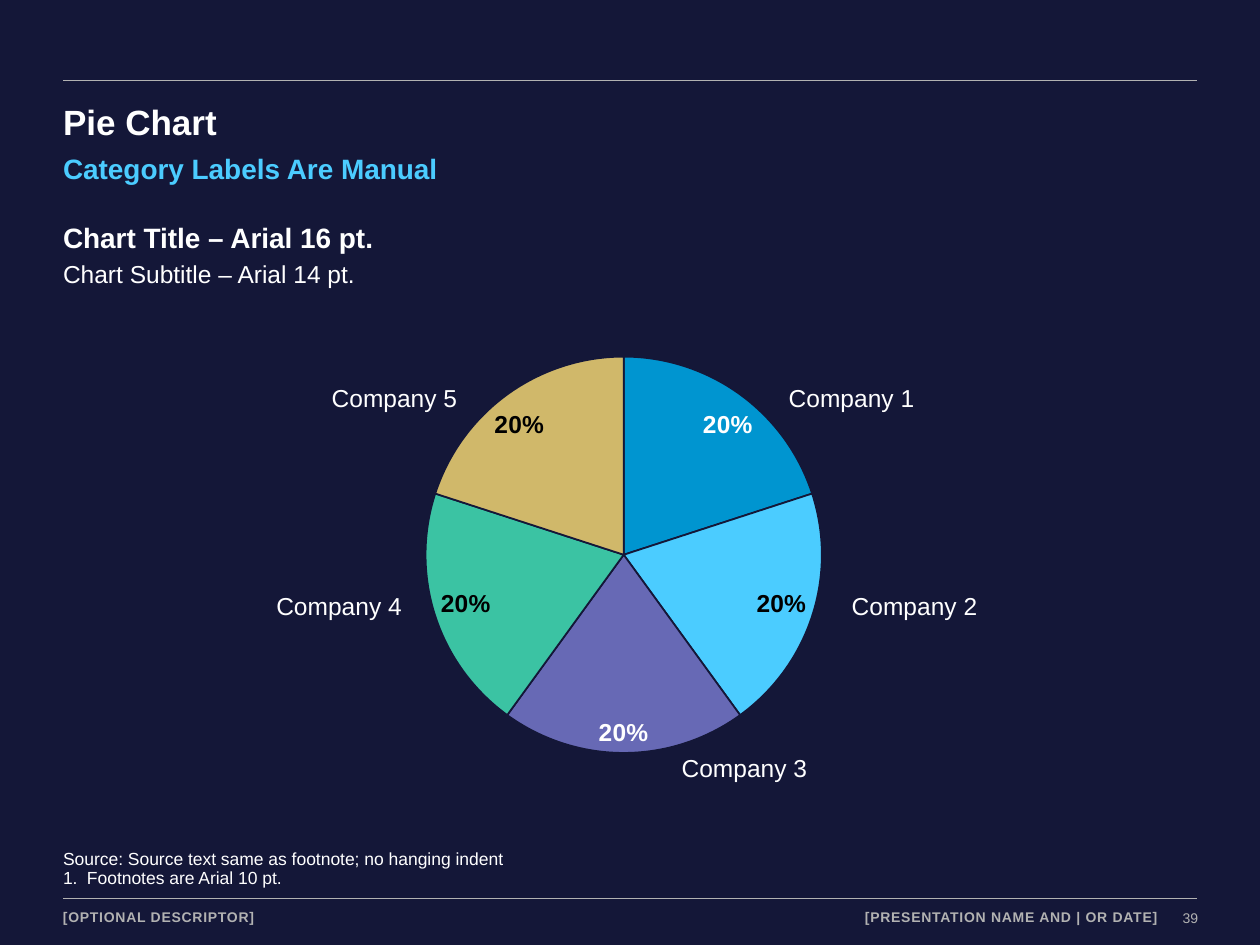
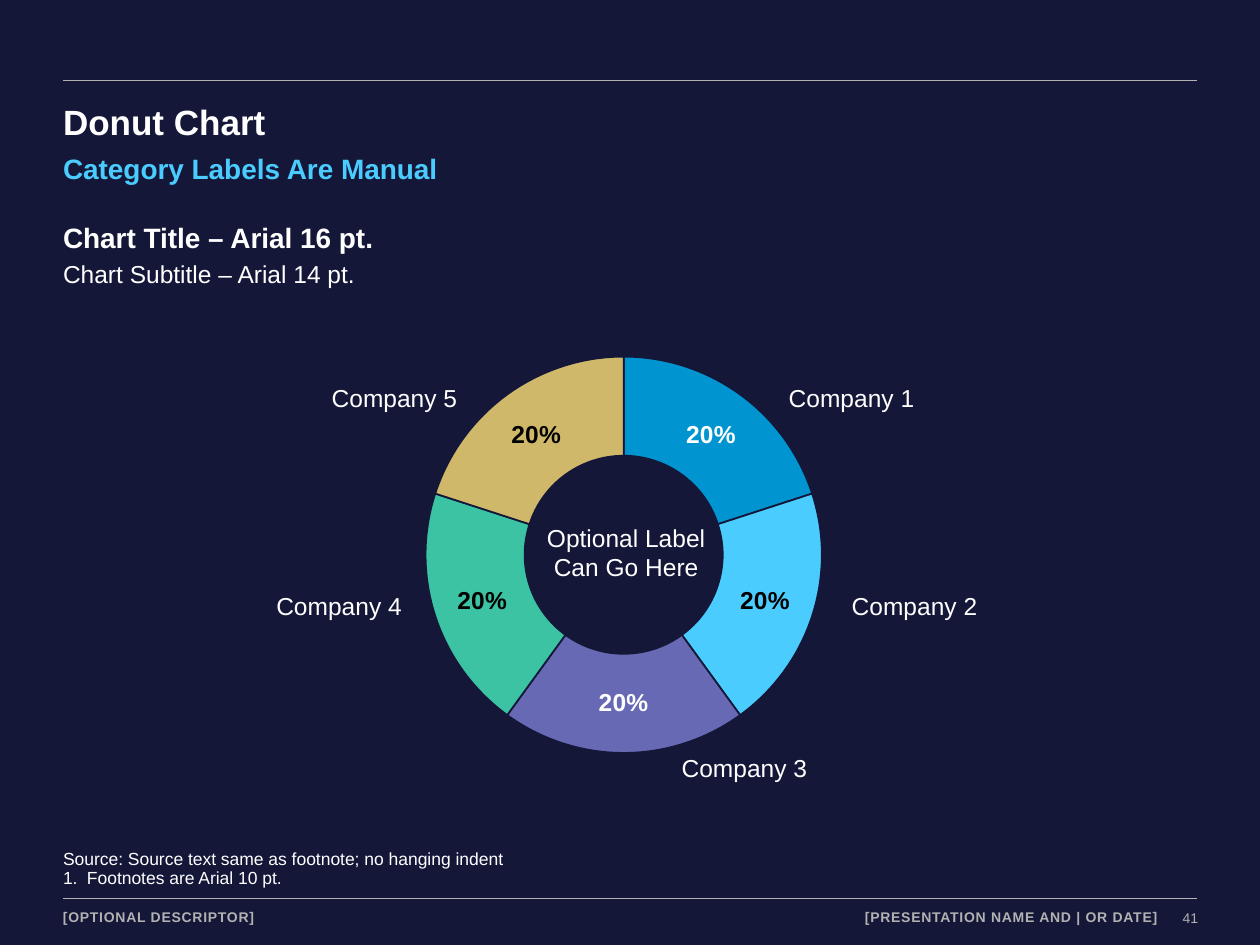
from dataclasses import dataclass

from lxml.etree import SubElement
from pptx import Presentation
from pptx.chart.chart import Chart
from pptx.chart.data import CategoryChartData
from pptx.dml.color import RGBColor
from pptx.enum.chart import XL_CHART_TYPE, XL_LABEL_POSITION
from pptx.enum.text import MSO_ANCHOR, MSO_AUTO_SIZE, PP_ALIGN
from pptx.oxml.ns import qn
from pptx.slide import Slide
from pptx.text.text import TextFrame, _Paragraph
from pptx.util import Inches, Pt

COLORS = {
    "background": "141738",
    "text": "FFFFFF",
    "accent": "4BCCFF",
    "muted": "B2B2B2",
    "dark_label": "000000",
}
FONT = "Arial"
MARGIN = 0.5
CONTENT_WIDTH = 8.99


@dataclass(frozen=True)
class TextStyle:
    size: float
    color: str = "text"
    bold: bool = False
    align: PP_ALIGN = PP_ALIGN.LEFT
    line_spacing: float = 1.0
    tracking: int = 0  # hundredths of a point
    wrap: bool = True


@dataclass(frozen=True)
class TextItem:
    text: str
    left: float
    top: float
    width: float
    height: float
    style: TextStyle


@dataclass(frozen=True)
class Slice:
    category: str
    value: int
    fill: str
    dark_label: bool = False


@dataclass(frozen=True)
class ChartPage:
    title: str
    number: str
    chart_type: XL_CHART_TYPE
    center_label: str = ""


# Text styles
TITLE = TextStyle(20, bold=True)
SUBTITLE = TextStyle(16, "accent", bold=True)
CHART_TITLE = TextStyle(16, bold=True, line_spacing=1.2)
CHART_SUBTITLE = TextStyle(14, line_spacing=1.2)
LABEL = TextStyle(14, wrap=False)
LABEL_RIGHT = TextStyle(14, align=PP_ALIGN.RIGHT, wrap=False)
CENTER_LABEL = TextStyle(14, align=PP_ALIGN.CENTER)
FOOTNOTE = TextStyle(10, line_spacing=0.9)
FOOTER = TextStyle(8, "muted", bold=True, tracking=40)
FOOTER_RIGHT = TextStyle(8, "muted", bold=True, align=PP_ALIGN.RIGHT, tracking=40)
PAGE_NUMBER = TextStyle(8, "muted", align=PP_ALIGN.RIGHT, wrap=False)

# Content shared by both pages
RULE_TOPS = (0.64, 7.13)
SHARED_TEXT = (
    TextItem("[OPTIONAL DESCRIPTOR]", MARGIN, 7.21, 3.1, 0.15, FOOTER),
    TextItem("[PRESENTATION NAME AND | OR DATE]", 5.19, 7.21, 4, 0.15, FOOTER_RIGHT),
    TextItem("Category Labels Are Manual", MARGIN, 1.2, CONTENT_WIDTH, 0.27, SUBTITLE),
    TextItem("Chart Title – Arial 16 pt.", MARGIN, 1.7, 7.05, 0.35, CHART_TITLE),
    TextItem("Chart Subtitle – Arial 14 pt.", MARGIN, 2.01, 7.05, 0.31, CHART_SUBTITLE),
    TextItem("Company 1", 6.26, 3.04, 1, 0.24, LABEL),
    TextItem("Company 2", 6.76, 4.69, 1, 0.24, LABEL),
    TextItem("Company 3", 5.41, 5.98, 1, 0.24, LABEL),
    TextItem("Company 4", 2.19, 4.69, 1, 0.24, LABEL_RIGHT),
    TextItem("Company 5", 2.63, 3.04, 1, 0.24, LABEL_RIGHT),
)
SOURCE_TEXT = "Source: Source text same as footnote; no hanging indent"
FOOTNOTE_TEXT = "Footnotes are Arial 10 pt."
SLICES = (
    Slice("1", 20, "0095D0"),
    Slice("2", 20, "4BCCFF", dark_label=True),
    Slice("3", 20, "6769B5"),
    Slice("4", 20, "3BC3A3", dark_label=True),
    Slice("5", 20, "D0B86A", dark_label=True),
)
PLOT_AREA = {"x": 0.316, "y": 0.128, "w": 0.358, "h": 0.758}
HOLE_SIZE = 65
PAGES = (
    ChartPage("Pie Chart", "39", XL_CHART_TYPE.PIE),
    ChartPage("Donut Chart", "41", XL_CHART_TYPE.DOUGHNUT, "Optional Label Can Go Here"),
)


def rgb(name: str) -> RGBColor:
    return RGBColor.from_string(COLORS[name])


def prepare_frame(frame: TextFrame, wrap: bool = True) -> None:
    frame.margin_left = frame.margin_right = frame.margin_top = frame.margin_bottom = 0
    frame.word_wrap = wrap
    frame.auto_size = MSO_AUTO_SIZE.NONE
    frame.vertical_anchor = MSO_ANCHOR.TOP


def write(para: _Paragraph, text: str, style: TextStyle) -> None:
    para.alignment = style.align
    para.line_spacing = style.line_spacing
    para.space_before = Pt(0)
    span = para.add_run()
    span.text = text
    span.font.name = FONT
    span.font.size = Pt(style.size)
    span.font.bold = style.bold
    span.font.color.rgb = rgb(style.color)
    if style.tracking:
        span.font._element.set("spc", str(style.tracking))


def add_text(page: Slide, item: TextItem) -> TextFrame:
    box = page.shapes.add_textbox(
        Inches(item.left), Inches(item.top), Inches(item.width), Inches(item.height)
    )
    prepare_frame(box.text_frame, item.style.wrap)
    write(box.text_frame.paragraphs[0], item.text, item.style)
    return box.text_frame


def add_rule(page: Slide, top: float) -> None:
    rule = page.shapes.add_connector(1, Inches(MARGIN), Inches(top), Inches(9.5), Inches(top))
    rule.line.color.rgb = rgb("muted")
    rule.line.width = Pt(1)
    SubElement(rule._element.spPr, qn("a:effectLst"))


def set_title(page: Slide, text: str) -> None:
    title = page.shapes.title
    title.left, title.top = Inches(MARGIN), Inches(0.8)
    title.width, title.height = Inches(CONTENT_WIDTH), Inches(0.34)
    prepare_frame(title.text_frame)
    write(title.text_frame.paragraphs[0], text, TITLE)


def add_footnotes(page: Slide) -> None:
    frame = add_text(page, TextItem(SOURCE_TEXT, MARGIN, 6.75, CONTENT_WIDTH, 0.32, FOOTNOTE))
    frame.vertical_anchor = MSO_ANCHOR.BOTTOM
    frame.margin_bottom = Inches(0.02)
    para = frame.add_paragraph()
    properties = para._element.get_or_add_pPr()
    properties.set("marL", str(Inches(0.19)))
    properties.set("indent", str(-Inches(0.19)))
    bullet_color = SubElement(properties, qn("a:buClr"))
    SubElement(bullet_color, qn("a:srgbClr"), val=COLORS["text"])
    SubElement(properties, qn("a:buAutoNum"), type="arabicPeriod")
    write(para, FOOTNOTE_TEXT, FOOTNOTE)


def place_plot(chart: Chart) -> None:
    plot_area = chart._chartSpace.find(f".//{qn('c:plotArea')}")
    for old_layout in plot_area.findall(qn("c:layout")):
        plot_area.remove(old_layout)
    layout = SubElement(plot_area, qn("c:layout"))
    plot_area.insert(0, layout)
    manual = SubElement(layout, qn("c:manualLayout"))
    SubElement(manual, qn("c:layoutTarget"), val="inner")
    for axis in ("x", "y"):
        SubElement(manual, qn(f"c:{axis}Mode"), val="edge")
    for side, share in PLOT_AREA.items():
        SubElement(manual, qn(f"c:{side}"), val=str(share))


def add_share_chart(page: Slide, chart_type: XL_CHART_TYPE) -> None:
    data = CategoryChartData()
    data.categories = [part.category for part in SLICES]
    data.add_series("Series 1", [part.value for part in SLICES])
    chart = page.shapes.add_chart(
        chart_type, Inches(MARGIN), Inches(2.3), Inches(CONTENT_WIDTH), Inches(4.15), data
    ).chart
    chart.has_legend = False
    chart.has_title = False
    chart.font.name = FONT
    chart.font.size = Pt(14)
    chart.font.color.rgb = rgb("text")
    place_plot(chart)
    chart.plots[0].vary_by_categories = True
    is_pie = chart_type == XL_CHART_TYPE.PIE

    # Percentage labels
    series = chart.plots[0].series[0]
    labels = series.data_labels
    labels.show_percentage = True
    labels.show_value = False
    labels.number_format = "0%"
    labels.number_format_is_linked = False
    labels.font.bold = True
    labels.font.size = Pt(14)
    labels.font.color.rgb = rgb("text")
    if is_pie:
        labels.position = XL_LABEL_POSITION.BEST_FIT

    # Slice colours, with dark labels on the light slices
    for index, part in enumerate(SLICES):
        point = series.points[index]
        point.format.fill.solid()
        point.format.fill.fore_color.rgb = RGBColor.from_string(part.fill)
        point.format.line.color.rgb = rgb("background")
        point.format.line.width = Pt(1)
        if part.dark_label:
            label = point.data_label
            label.font.bold = True
            label.font.size = Pt(14)
            label.font.color.rgb = rgb("dark_label")
            if is_pie:
                label.position = XL_LABEL_POSITION.BEST_FIT
    for label_element in series._element.iter(qn("c:dLbl")):
        label_element.find(qn("c:showVal")).set("val", "0")
        label_element.find(qn("c:showPercent")).set("val", "1")
    for hole in chart._chartSpace.iter(qn("c:holeSize")):
        hole.set("val", str(HOLE_SIZE))


def build_page(deck: Presentation, content: ChartPage) -> None:
    page = deck.slides.add_slide(deck.slide_layouts[5])
    for top in RULE_TOPS:
        add_rule(page, top)
    set_title(page, content.title)
    add_share_chart(page, content.chart_type)
    for item in SHARED_TEXT:
        add_text(page, item)
    add_text(page, TextItem(content.number, 9.37, 7.22, 0.14, 0.13, PAGE_NUMBER))
    add_footnotes(page)
    if content.center_label:
        add_text(page, TextItem(content.center_label, 4.32, 4.15, 1.3, 0.47, CENTER_LABEL))


def main() -> None:
    deck = Presentation()
    deck.slide_width, deck.slide_height = Inches(10), Inches(7.5)
    background = deck.slide_master.background.fill
    background.solid()
    background.fore_color.rgb = rgb("background")
    for content in PAGES:
        build_page(deck, content)
    deck.save("out.pptx")


if __name__ == "__main__":
    main()
